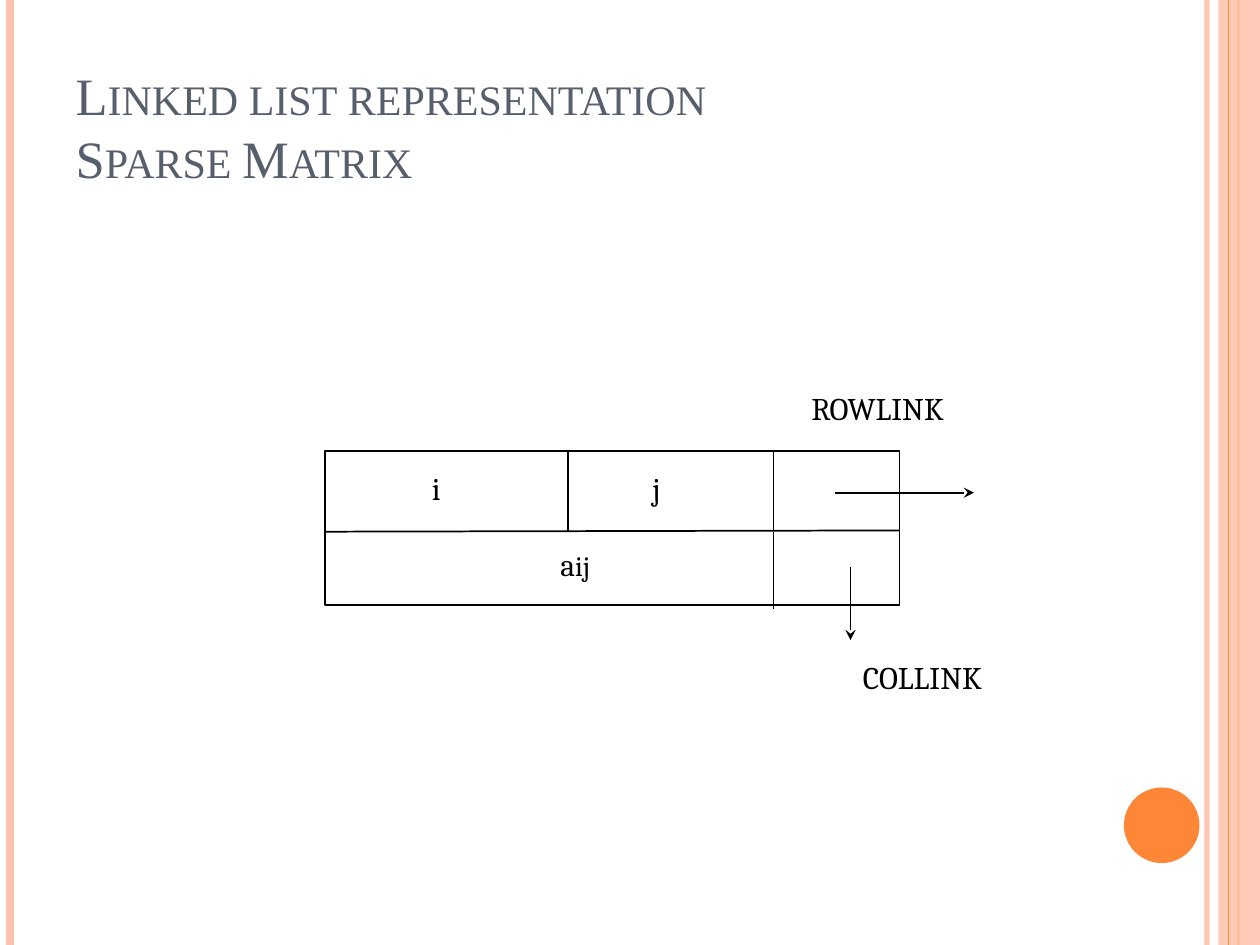
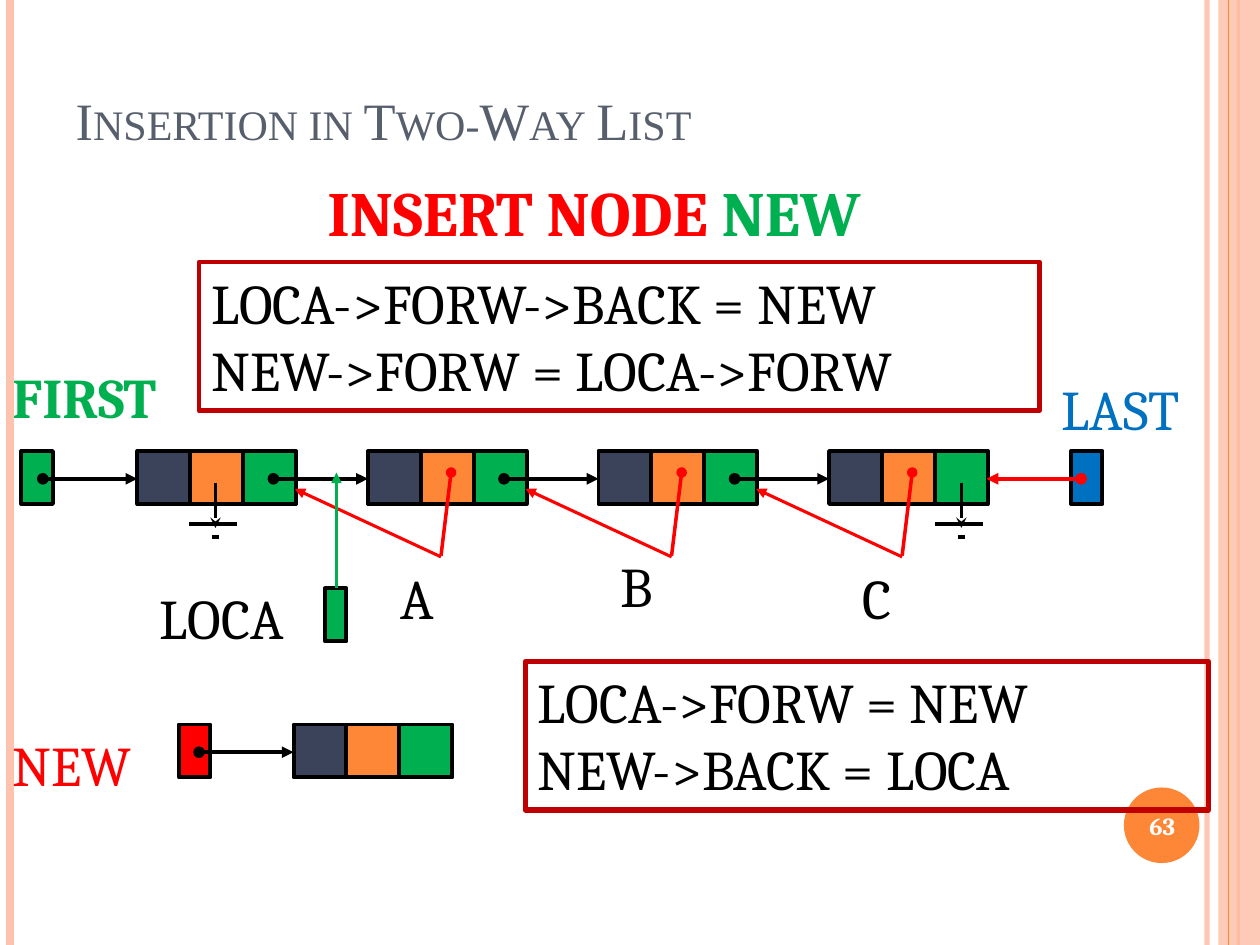
"""Build two slides on linked lists: a sparse matrix node and a two-way list insertion."""
from dataclasses import dataclass

from lxml.etree import SubElement
from pptx import Presentation
from pptx.dml.color import RGBColor
from pptx.enum.shapes import MSO_CONNECTOR, MSO_SHAPE
from pptx.enum.text import MSO_ANCHOR, MSO_AUTO_SIZE, PP_ALIGN
from pptx.oxml.ns import qn
from pptx.util import Inches, Pt


@dataclass(frozen=True)
class Theme:
    ink: str = "000000"
    white: str = "FFFFFF"
    slate: str = "575F6D"
    peach: str = "FEC3AE"
    orange: str = "FE8637"
    navy: str = "3B435B"
    green: str = "00B050"
    red: str = "FF0000"
    blue: str = "0070C0"
    frame: str = "C00000"
    serif: str = "Times New Roman"
    body: str = "Cambria"
    title: int = 30
    head: int = 36
    code: int = 32
    label: int = 18
    sub: int = 16
    page: int = 14


T = Theme()

MATRIX = "Linked list representation\vSparse Matrix"
FIELDS = [
    ("i", (3.33, 3.67, 0.29, 0.5)),
    ("j", (5.08, 3.67, 0.29, 0.5)),
    ("ROWLINK", (6.34, 3.04, 1.58, 0.4)),
    ("COLLINK", (6.75, 5.17, 1.58, 0.4)),
]
ENTRY = ("a", "ij", (4.35, 4.28, 0.47, 0.5))
RULES = [
    ((2.58, 4.22), (7.14, 4.21), ""),
    ((4.51, 3.58), (4.51, 4.22), ""),
    ((6.14, 3.59), (6.14, 4.21), ""),
    ((6.14, 4.22), (6.14, 4.83), ""),
    ((6.75, 4.5), (6.75, 5.08), "stealth"),
    ((6.63, 3.91), (7.73, 3.91), "stealth"),
]

INSERT = "Insertion in Two-Way List"
BANNER = ("INSERT NODE ", "NEW", (2.5, 1.33, 5.42, 0.71))
NAMES = [
    ("FIRST", (0, 2.83, 2, 0.64), T.green, True),
    ("LAST", (8.33, 2.92, 1.67, 0.64), T.blue, False),
    ("A", (3.08, 4.42, 0.83, 0.64), T.ink, False),
    ("B", (4.83, 4.33, 0.83, 0.64), T.ink, False),
    ("C", (6.75, 4.42, 0.67, 0.64), T.ink, False),
    ("LOCA", (1.17, 4.58, 1.58, 0.64), T.ink, False),
    ("NEW", (0, 5.75, 1.33, 0.64), T.red, False),
]
STEPS = [
    (["LOCA->FORW->BACK = NEW", "NEW->FORW = LOCA->FORW"], (1.58, 2.08, 6.67, 1.18), 2.75),
    (["LOCA->FORW = NEW", "NEW->BACK = LOCA"], (4.17, 5.25, 5.42, 1.18), 3),
]
PAGE = "63"

CELL = 0.42
START, PITCH, COUNT = 1.09, 1.83, 4
ROW, FRESH = 3.58, 5.75


def rgb(code):
    return RGBColor.from_string(code)


def fade(part, alpha):
    for color in part.iter(qn("a:srgbClr")):
        SubElement(color, qn("a:alpha"), val=str(alpha * 1000))


def line(slide, start, end, color=T.ink, width=1.0, head="", tail=""):
    ends = [Inches(v) for v in (*start, *end)]
    link = slide.shapes.add_connector(MSO_CONNECTOR.STRAIGHT, *ends)
    link.line.color.rgb = rgb(color)
    link.line.width = Pt(width)
    props = link.element.spPr
    for tag, kind in (("a:headEnd", head), ("a:tailEnd", tail)):
        if kind:
            SubElement(props.find(qn("a:ln")), qn(tag), type=kind)
    SubElement(props, qn("a:effectLst"))
    return link


def shape(slide, at, fill=None, edge=None, width=2.25, kind=MSO_SHAPE.RECTANGLE):
    item = slide.shapes.add_shape(kind, *map(Inches, at))
    item.shadow.inherit = False
    if fill:
        item.fill.solid()
        item.fill.fore_color.rgb = rgb(fill)
    else:
        item.fill.background()
    if edge:
        item.line.color.rgb = rgb(edge)
        item.line.width = Pt(width)
    else:
        item.line.fill.background()
    return item


def write(frame, rows, size, color=T.ink, bold=False, align=PP_ALIGN.LEFT,
          anchor=MSO_ANCHOR.TOP, face=T.body):
    frame.word_wrap = True
    frame.auto_size = MSO_AUTO_SIZE.NONE
    frame.vertical_anchor = anchor
    frame.text = "\n".join(rows)
    for para in frame.paragraphs:
        para.alignment = align
        font = para.font
        font.name, font.size, font.bold = face, Pt(size), bold
        font.color.rgb = rgb(color)
    return frame.paragraphs[0]


def label(slide, text, at, size, color=T.ink, bold=False, **style):
    box = slide.shapes.add_textbox(*map(Inches, at))
    return write(box.text_frame, [text], size, color, bold, **style)


def set_title(slide, text, at):
    title = slide.shapes.title
    title.left, title.top, title.width, title.height = map(Inches, at)
    para = write(title.text_frame, [text], T.title, T.slate,
                 anchor=MSO_ANCHOR.BOTTOM, face=T.serif)
    for font in para._p.iter(qn("a:defRPr")):
        font.set("cap", "small")


def decorate(slide, layout):
    def bar(x, color, width):
        return line(slide, (x, 0), (x, 7.5), color, width)

    edge = bar(9.58, T.peach, 3)
    fade(edge.element.spPr, 93)
    left = bar(0.08, T.peach, 4.5)
    mid = bar(9.83, T.orange, 1.5)
    band = shape(slide, (9.67, 0, 0.33, 7.5), T.peach)
    fade(band.element.spPr, 87)
    thin = bar(9.75, T.orange, 0.75)
    disc = shape(slide, (8.92, 6.25, 0.6, 0.6), T.orange, kind=MSO_SHAPE.OVAL)
    for part in (edge, left, mid, band, thin, disc):
        layout.shapes.element.append(part.element)


def draw_matrix(slide):
    set_title(slide, MATRIX, (0.5, 0.3, 8.17, 1.25))
    shape(slide, (2.58, 3.58, 4.56, 1.22), edge=T.ink, width=1)
    for start, end, tail in RULES:
        line(slide, start, end, tail=tail)
    for text, at in FIELDS:
        label(slide, text, at, T.label)
    base, sub, at = ENTRY
    run = label(slide, base, at, T.label).add_run()
    run.text, run.font.size = sub, Pt(T.sub)


def node(slide, x, y):
    for i, fill in enumerate((T.navy, T.orange, T.green)):
        shape(slide, (x + i * CELL, y, CELL, CELL), fill, T.ink)


def forward(slide, x, y):
    line(slide, (x, y), (x + 0.75, y), width=2.25, head="oval", tail="triangle")


def back(slide, x):
    knee = x + 0.58
    line(slide, (x - 0.58, 3.88), (knee, 4.42), T.red, 1.75, head="triangle")
    line(slide, (knee, 4.41), (x + 0.66, 3.75), T.red, 2, tail="oval")


def ground(slide, x):
    line(slide, (x, 3.83), (x, 4.19), width=2, tail="stealth")
    line(slide, (x - 0.21, 4.16), (x + 0.17, 4.16), width=2)
    line(slide, (x - 0.03, 4.26), (x + 0.03, 4.26), width=2)


def draw_insert(slide):
    set_title(slide, INSERT, (0.5, 0.3, 9, 0.95))
    label(slide, PAGE, (8.89, 6.27, 0.67, 0.57), T.page, T.white, True,
          align=PP_ALIGN.CENTER, anchor=MSO_ANCHOR.MIDDLE)
    spots = [START + i * PITCH for i in range(COUNT)]
    for x in spots:
        node(slide, x, ROW)
    node(slide, 2.33, FRESH)
    for x, y, wide, fill in ((0.17, ROW, 0.25, T.green), (8.5, ROW, 0.25, T.blue),
                             (2.58, 4.67, 0.17, T.green), (1.42, FRESH, 0.25, T.red)):
        shape(slide, (x, y, wide, CELL), fill, T.ink)
    for x in spots:
        forward(slide, x - 0.75, ROW + 0.22)
    forward(slide, 1.58, FRESH + 0.22)
    line(slide, (8.58, 3.8), (7.83, 3.8), T.red, 2.25, head="oval", tail="triangle")
    for x in spots[1:]:
        back(slide, x)
    for x in (1.71, 7.63):
        ground(slide, x)
    line(slide, (2.67, 4.67), (2.67, 3.75), T.green, 2, tail="triangle")
    for text, at, color, bold in NAMES:
        label(slide, text, at, T.code, color, bold)
    lead, word, at = BANNER
    run = label(slide, lead, at, T.head, T.red, True).add_run()
    run.text, run.font.color.rgb = word, rgb(T.green)
    for rows, at, width in STEPS:
        box = shape(slide, at, edge=T.frame, width=width)
        write(box.text_frame, rows, T.code)


def main():
    deck = Presentation()
    deck.slide_width, deck.slide_height = Inches(10), Inches(7.5)
    layout = deck.slide_layouts[5]
    first, second = [deck.slides.add_slide(layout) for _ in range(2)]
    decorate(first, layout)
    draw_matrix(first)
    draw_insert(second)
    deck.save("out.pptx")


if __name__ == "__main__":
    main()
